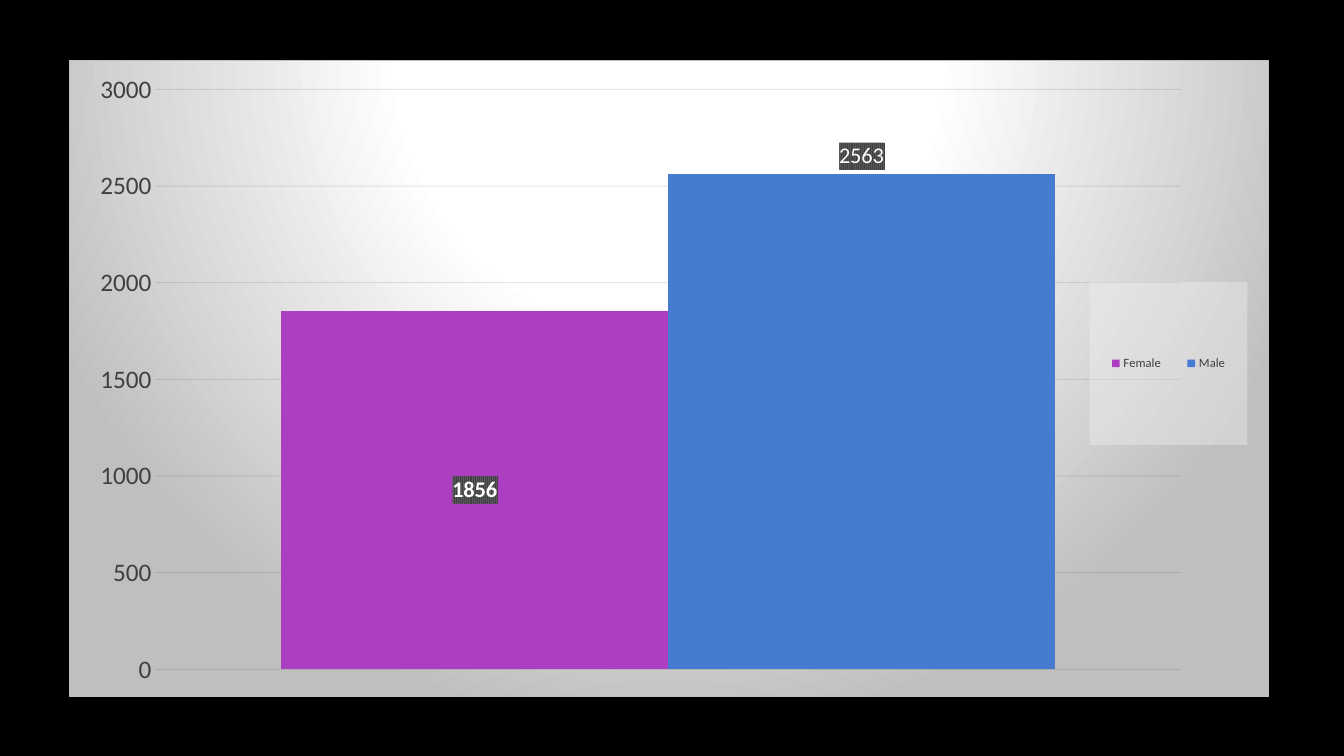
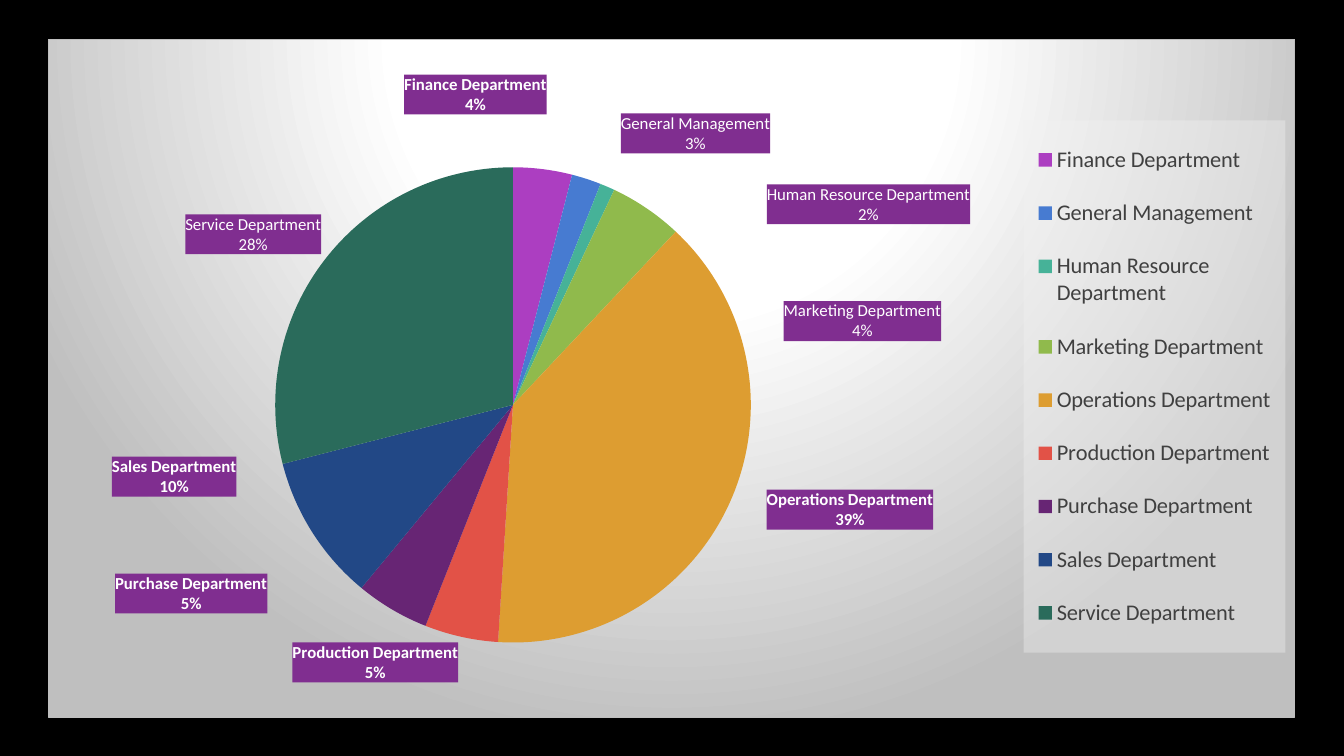
from math import cos, pi, sin

from lxml import etree
from pptx import Presentation
from pptx.chart.data import CategoryChartData
from pptx.dml.color import RGBColor
from pptx.enum import chart as kinds
from pptx.oxml import parse_xml
from pptx.oxml.ns import nsdecls, qn

PX = 9071  # EMU in one px
FONT = "Calibri"
WHITE, GREY, DARK = "FFFFFF", "404040", "000000"
POS = kinds.XL_LABEL_POSITION
LABEL = '<a:solidFill><a:srgbClr val="802E90"/></a:solidFill>'
HATCH = ('<a:pattFill prst="narVert"><a:fgClr><a:srgbClr val="404040"/></a:fgClr>'
         '<a:bgClr><a:srgbClr val="595959"/></a:bgClr></a:pattFill>')
GLASS = '<a:solidFill><a:srgbClr val="F2F2F2"><a:alpha val="39000"/></a:srgbClr></a:solidFill>'
PANEL = ('<a:gradFill><a:gsLst><a:gs pos="0"><a:srgbClr val="FFFFFF"/></a:gs>'
         '<a:gs pos="39000"><a:srgbClr val="FFFFFF"/></a:gs>'
         '<a:gs pos="100000"><a:srgbClr val="BFBFBF"/></a:gs></a:gsLst>'
         '<a:path path="circle"><a:fillToRect l="50000" t="-80000" r="50000" b="180000"/>'
         '</a:path></a:gradFill>'
         '<a:ln w="9525"><a:solidFill><a:srgbClr val="BFBFBF"/></a:solidFill></a:ln>')

# Staff share by department: name, value, colour, fixed share text, label corner
STAFF = [
    ("Finance Department", 4, "AC3EC1", None, (404, 114)),
    ("General Management", 2, "477BD1", "3%", (621, 153)),
    ("Human Resource Department", 1, "46B298", "2%", (767, 224)),
    ("Marketing Department", 5, "90BA4C", "4%", (784, 341)),
    ("Operations Department", 39, "DD9D31", None, (767, 490)),
    ("Production Department", 5, "E25247", None, (458, 643)),
    ("Purchase Department", 5, "672574", None, (267, 574)),
    ("Sales Department", 10, "224886", None, (236, 457)),
    ("Service Department", 29, "2A6B5B", "28%", (321, 254)),
]


def rgb(code):
    return RGBColor.from_string(code)


def style(font, size, color=WHITE, bold=False):
    font.name, font.size, font.bold = FONT, int(size * 12700), bold
    font.color.rgb = rgb(color)


def paint(fill, color):
    fill.solid()
    fill.fore_color.rgb = rgb(color)


def props(inner):
    return parse_xml(f'<c:spPr {nsdecls("c", "a")}>{inner}</c:spPr>')


def layout(part, after, inner=False, **spots):
    """Give a chart part a manual layout, placed after the named child."""
    for old in part.findall(qn("c:layout")):
        part.remove(old)
    node = etree.Element(qn("c:layout"))
    box = etree.SubElement(node, qn("c:manualLayout"))
    items = {"layoutTarget": "inner"} if inner else {}
    if "w" in spots:
        items.update(xMode="edge", yMode="edge")
    items.update({key: f"{val:.4f}" for key, val in spots.items()})
    for key, val in items.items():
        etree.SubElement(box, qn("c:" + key)).set("val", val)
    if after:
        part.find(qn(after)).addnext(node)
    else:
        part.insert(0, node)


def share(box, part):
    """Turn a px box on the slide into fractions of the chart box."""
    left, top, wide, high = box
    x, y, w, h = part
    return dict(x=(x - left) / wide, y=(y - top) / high, w=w / wide, h=h / high)


def panel(slide, box, kind, data, plot, key, size):
    """A chart on the gradient panel, with its plot and legend placed."""
    frame = slide.shapes.add_chart(kind, *[n * PX for n in box], data)
    chart = frame.chart
    chart.has_title = False
    style(chart.font, 10)
    chart.has_legend = True
    legend = chart.legend
    legend.position = kinds.XL_LEGEND_POSITION.RIGHT
    legend.include_in_layout = False
    style(legend.font, size, GREY)
    root = chart._chartSpace.find(qn("c:chart"))
    root.addnext(props(PANEL))
    layout(root.find(qn("c:plotArea")), None, inner=True, **share(box, plot))
    part = root.find(qn("c:legend"))
    layout(part, "c:legendPos", **share(box, key))
    part.find(qn("c:txPr")).addprevious(props(GLASS))
    return chart


def label(series, index, place, fill, text=None, shows=("showVal",), shift=None, **form):
    """Label one point; form goes to the font."""
    tag = series.points[index].data_label
    tag.position = place
    if text:
        frame = tag.text_frame
        frame.text = text
        for para in frame.paragraphs:
            for run in para.runs:
                style(run.font, **form)
    else:
        style(tag.font, **form)
    node = next(n for n in series._element.iter(qn("c:dLbl"))
                if n.find(qn("c:idx")).get("val") == str(index))
    for old in node.findall(qn("c:spPr")):
        node.remove(old)
    mark = node.find(qn("c:txPr"))
    mark = node.find(qn("c:dLblPos")) if mark is None else mark
    mark.addprevious(props(fill))
    for name in ("showVal", "showCatName", "showPercent"):
        node.find(qn("c:" + name)).set("val", str(int(name in shows)))
    if len(shows) > 1:
        gap = etree.Element(qn("c:separator"))
        gap.text = "\n"
        node.find(qn("c:showBubbleSize")).addnext(gap)
    if shift:
        layout(node, "c:idx", x=shift[0], y=shift[1])
    for body in node.iter(qn("a:bodyPr")):
        body.set("wrap", "none")
    for lead in series._element.iter(qn("c:showLeaderLines")):
        lead.set("val", "0")


def columns(slide, box):
    data = CategoryChartData()
    data.categories = ["1"]
    data.add_series("Female", [1856])
    data.add_series("Male", [2563])
    chart = panel(slide, box, kinds.XL_CHART_TYPE.COLUMN_CLUSTERED, data,
                  (155, 89, 1026, 581), (1090, 282, 158, 163), 9)
    plot = chart.plots[0]
    plot.gap_width, plot.overlap = 65, 0
    plot.vary_by_categories = False

    # Axes
    chart.category_axis.visible = False
    axis = chart.value_axis
    axis.minimum_scale, axis.maximum_scale, axis.major_unit = 0, 3000, 500
    axis.major_tick_mark = kinds.XL_TICK_MARK.NONE
    axis.format.line.fill.background()
    style(axis.tick_labels.font, 18, GREY)
    line = axis.major_gridlines.format.line
    line.width = 9525
    paint(line.fill, "0D0D0D")
    tint = axis.major_gridlines._xAx.find(qn("c:majorGridlines")).find(".//" + qn("a:srgbClr"))
    etree.SubElement(tint, qn("a:alpha")).set("val", "10000")

    # Bars
    looks = [("AC3EC1", POS.CENTER, True), ("477BD1", POS.OUTSIDE_END, False)]
    for series, (color, place, bold) in zip(plot.series, looks):
        paint(series.format.fill, color)
        label(series, 0, place, HATCH, size=16, bold=bold)


def pie(slide, box):
    data = CategoryChartData()
    data.categories = [row[0] for row in STAFF]
    data.add_series("Series 1", [row[1] for row in STAFF])
    mid, rad = (513, 405), 238
    chart = panel(slide, box, kinds.XL_CHART_TYPE.PIE, data,
                  (mid[0] - rad, mid[1] - rad, 2 * rad, 2 * rad), (1024, 120, 262, 533), 16)
    plot = chart.plots[0]
    plot.vary_by_categories = True
    series = plot.series[0]
    total, done = sum(row[1] for row in STAFF), 0
    for i, (name, value, color, part, (x, y)) in enumerate(STAFF):
        paint(series.points[i].format.fill, color)
        # Shift the label from the rim at the middle of its slice
        turn = 2 * pi * (done + value / 2) / total
        done += value
        rim = rad + 6
        shift = ((x - mid[0] - rim * sin(turn)) / box[2],
                 (y - mid[1] + rim * cos(turn)) / box[3])
        label(series, i, POS.OUTSIDE_END, LABEL, text=f"{name}\n{part}" if part else None,
              shows=("showCatName", "showPercent"), shift=shift, size=12, bold=not part)


def main():
    deck = Presentation()
    deck.slide_width, deck.slide_height = 1344 * PX, 756 * PX
    paint(deck.slide_master.background.fill, DARK)
    blank = deck.slide_layouts[6]
    columns(deck.slides.add_slide(blank), (69, 60, 1200, 637))
    pie(deck.slides.add_slide(blank), (48, 39, 1247, 679))
    deck.save("out.pptx")


if __name__ == "__main__":
    main()
